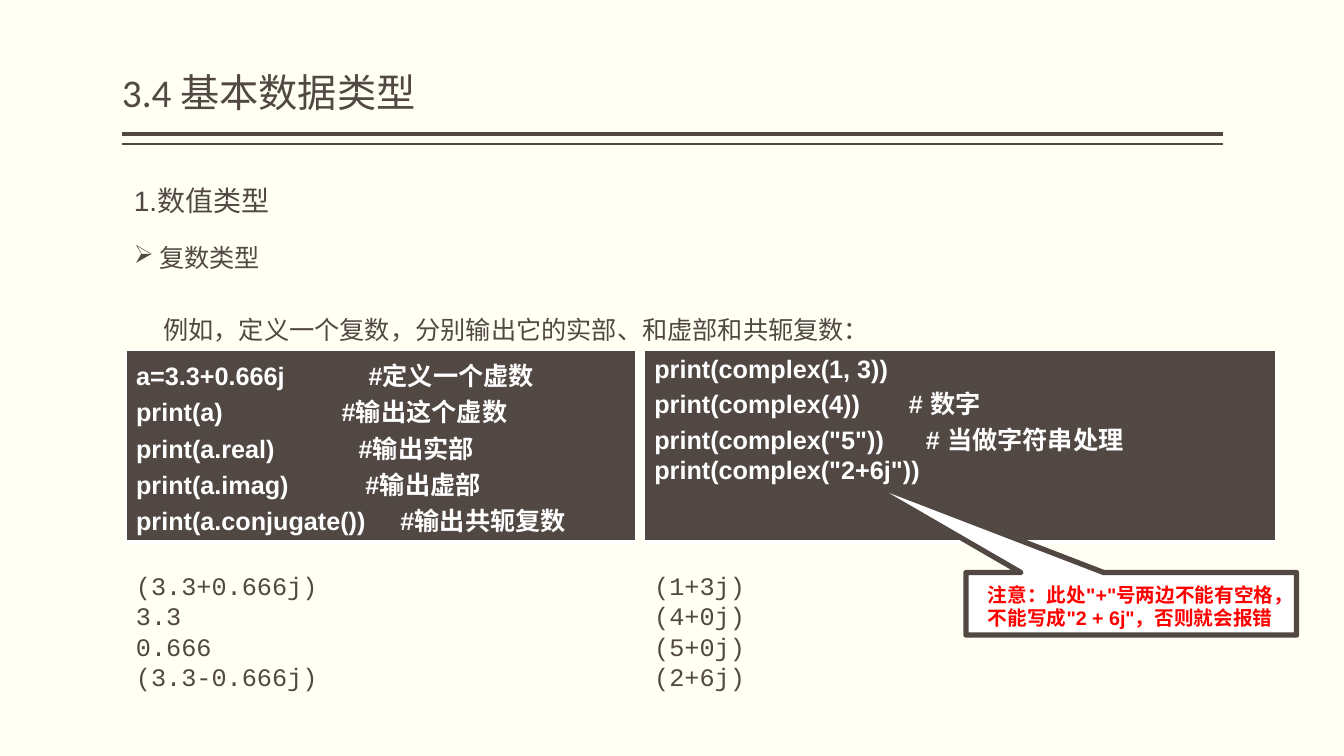
from lxml import etree
from pptx import Presentation
from pptx.dml.color import RGBColor
from pptx.enum.shapes import MSO_CONNECTOR, MSO_SHAPE
from pptx.enum.text import MSO_ANCHOR, PP_ALIGN
from pptx.oxml.ns import qn
from pptx.util import Inches, Pt

BROWN, WHITE, RED, CREAM = "514843", "FFFFFF", "FF0000", "FFFFF3"
LEFT_CODE = [
    "a=3.3+0.666j            #定义一个虚数",
    "print(a)                 #输出这个虚数",
    "print(a.real)            #输出实部",
    "print(a.imag)           #输出虚部",
    "print(a.conjugate())     #输出共轭复数",
]
RIGHT_CODE = [
    "print(complex(1, 3))",
    "print(complex(4))       # 数字",
    'print(complex("5"))      # 当做字符串处理',
    'print(complex("2+6j"))',
]
LEFT_OUTPUT = ["(3.3+0.666j)", "3.3", "0.666", "(3.3-0.666j)"]
RIGHT_OUTPUT = ["(1+3j)", "(4+0j)", "(5+0j)", "(2+6j)"]


def color(value):
    return RGBColor.from_string(value)


def write(frame, lines, size, font="Arial", fill=BROWN, bold=False):
    frame.word_wrap = True
    for index, line in enumerate(lines):
        paragraph = frame.paragraphs[0] if index == 0 else frame.add_paragraph()
        paragraph.text = line
        paragraph.font.size = Pt(size)
        paragraph.font.name = font
        paragraph.font.bold = bold
        paragraph.font.color.rgb = color(fill)


def add_text(slide, box, lines, size, **style):
    frame = slide.shapes.add_textbox(*map(Inches, box)).text_frame
    write(frame, lines, size, **style)
    return frame


def add_title(slide, left, top, width, height):
    frame = add_text(slide, (left, top, width, height), ["3.4 基本数据类型"], 28, font="Calibri")
    frame.margin_left = frame.margin_right = 0
    frame.vertical_anchor = MSO_ANCHOR.BOTTOM
    frame.paragraphs[0].line_spacing = 0.9
    # Double rule under the title
    for offset, weight in ((0.75, 3), (0.85, 1)):
        y = Inches(top + offset)
        rule = slide.shapes.add_connector(
            MSO_CONNECTOR.STRAIGHT, Inches(left), y, Inches(left + width), y)
        rule.line.color.rgb = color(BROWN)
        rule.line.width = Pt(weight)
        etree.SubElement(rule._element.spPr, qn("a:effectLst"))


def add_headings(slide, left, top, width, height):
    frame = add_text(slide, (left, top, width, height), ["1.数值类型"], 20)
    topic = frame.add_paragraph()
    topic.text = "复数类型"
    topic.space_before = Pt(18)
    properties = topic._p.get_or_add_pPr()
    properties.set("marL", str(Inches(0.25)))
    properties.set("indent", str(-Inches(0.25)))
    etree.SubElement(properties, qn("a:buChar"), char="➢")
    topic.font.size = Pt(18)
    topic.font.name = "Arial"
    topic.font.color.rgb = color(BROWN)


def add_example(slide, left, top, width, height):
    frame = add_text(slide, (left, top, width, height),
                     ["例如，定义一个复数，分别输出它的实部、和虚部和共轭复数："], 18)
    frame.margin_left = Inches(0.33)
    frame.paragraphs[0].line_spacing = 1.6
    frame.paragraphs[0].alignment = PP_ALIGN.JUSTIFY


def add_code_column(slide, left, top, width, height, code, output):
    # Code in a one-cell table
    table = slide.shapes.add_table(
        1, 1, Inches(left), Inches(top), Inches(width), Inches(height)).table
    table.first_row = table.horz_banding = False
    cell = table.cell(0, 0)
    properties = cell._tc.get_or_add_tcPr()
    for side, weight in (("L", 1), ("R", 1), ("T", 1), ("B", 3)):
        border = etree.SubElement(properties, qn(f"a:ln{side}"), w=str(Pt(weight)))
        fill = etree.SubElement(border, qn("a:solidFill"))
        etree.SubElement(fill, qn("a:srgbClr"), val=WHITE)
    cell.fill.solid()
    cell.fill.fore_color.rgb = color(BROWN)
    write(cell.text_frame, code, 18, fill=WHITE, bold=True)
    # Output below
    add_text(slide, (left, top + 2.13, 5.05, 1.31), output, 18, font="Courier New")


def add_warning(slide, left, top, width, height):
    callout = slide.shapes.add_shape(
        MSO_SHAPE.RECTANGULAR_CALLOUT, Inches(left), Inches(top), Inches(width), Inches(height))
    callout.shadow.inherit = False
    callout.rotation = 180
    callout.adjustments[0] = 0.83
    callout.adjustments[1] = 2.02
    callout.fill.solid()
    callout.fill.fore_color.rgb = color(WHITE)
    callout.line.color.rgb = color(BROWN)
    callout.line.width = Pt(3.78)
    # Upright text over the turned callout
    add_text(slide, (left + 0.12, top + 0.05, width - 0.12, height - 0.05),
             ['注意：此处"+"号两边不能有空格，不能写成"2 + 6j"，否则就会报错'],
             14, fill=RED, bold=True)


def main():
    presentation = Presentation()
    presentation.slide_width = Inches(13.33)
    presentation.slide_height = Inches(7.5)
    slide = presentation.slides.add_slide(presentation.slide_layouts[6])
    slide.background.fill.solid()
    slide.background.fill.fore_color.rgb = color(CREAM)

    add_title(slide, 1.21, 0.58, 10.92, 0.62)
    add_headings(slide, 1.23, 1.77, 3.06, 1.19)
    add_example(slide, 1.29, 2.89, 10.92, 0.62)
    add_code_column(slide, 1.25, 3.48, 5.05, 1.9, LEFT_CODE, LEFT_OUTPUT)
    add_code_column(slide, 6.39, 3.48, 6.26, 1.9, RIGHT_CODE, RIGHT_OUTPUT)
    add_warning(slide, 9.58, 5.68, 3.28, 0.62)
    presentation.save("out.pptx")


if __name__ == "__main__":
    main()
